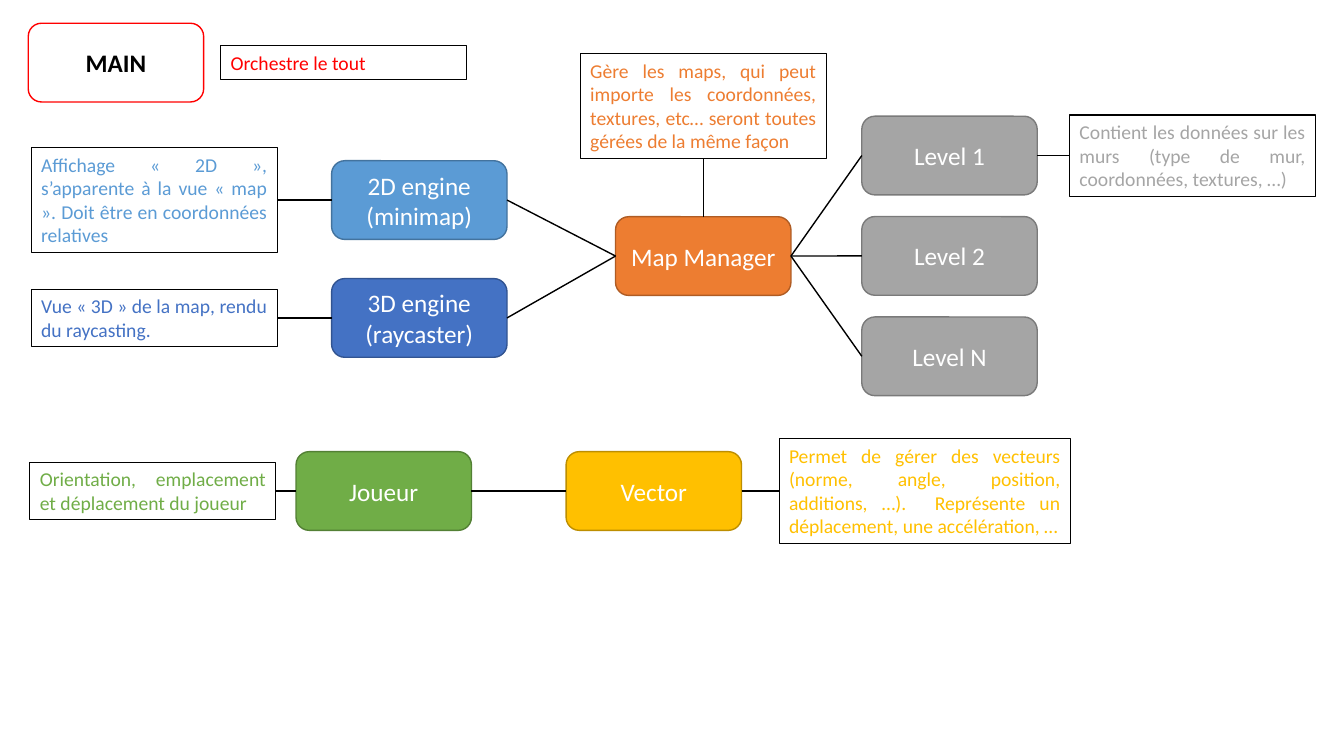
from dataclasses import dataclass

from lxml.etree import SubElement
from pptx import Presentation
from pptx.dml.color import RGBColor
from pptx.enum.shapes import MSO_CONNECTOR, MSO_SHAPE
from pptx.enum.text import MSO_ANCHOR, MSO_AUTO_SIZE, PP_ALIGN
from pptx.oxml.ns import qn
from pptx.util import Pt


@dataclass(frozen=True)
class Theme:
    font: str = "Calibri"
    node_size: float = 18
    note_size: float = 14
    white: str = "FFFFFF"
    black: str = "000000"
    red: str = "FF0000"
    sky: tuple = ("5B9BD5", "43739E")
    blue: tuple = ("4472C4", "325491")
    orange: tuple = ("ED7D31", "AF5C24")
    gray: tuple = ("A5A5A5", "7A7A7A")
    green: tuple = ("70AD47", "538035")
    gold: tuple = ("FFC000", "BD8E00")


@dataclass(frozen=True)
class Box:
    left: float
    top: float
    width: float
    height: float

    @property
    def right(self):
        return self.left + self.width

    @property
    def middle(self):
        return self.top + self.height / 2


THEME = Theme()
NODE_WIDTH, NODE_HEIGHT = 125.3, 56.2
NOTE_WIDTH = 175.7
TOP, LEFT, BOTTOM, RIGHT = range(4)


def write_text(shape, text, size, color, align, anchor=MSO_ANCHOR.TOP, bold=False):
    frame = shape.text_frame
    frame.word_wrap = True
    frame.vertical_anchor = anchor
    paragraph = frame.paragraphs[0]
    paragraph.alignment = align
    run = paragraph.add_run()
    run.text = text
    run.font.name = THEME.font
    run.font.size = Pt(size)
    run.font.bold = bold
    run.font.color.rgb = RGBColor.from_string(color)


def paint(shape, fill, line, width):
    shape.fill.solid()
    shape.fill.fore_color.rgb = RGBColor.from_string(fill)
    shape.line.color.rgb = RGBColor.from_string(line)
    shape.line.width = Pt(width)


def add_node(slide, left, top, text, colors, text_color=THEME.white, bold=False):
    node = slide.shapes.add_shape(
        MSO_SHAPE.ROUNDED_RECTANGLE, Pt(left), Pt(top), Pt(NODE_WIDTH), Pt(NODE_HEIGHT))
    node.shadow.inherit = False
    paint(node, *colors, 1)
    write_text(node, text, THEME.node_size, text_color, PP_ALIGN.CENTER,
               anchor=MSO_ANCHOR.MIDDLE, bold=bold)
    return node


def note_height(lines):
    return 7.2 + 16.9 * lines


def add_note(slide, left, middle, lines, text, color, width=NOTE_WIDTH):
    height = note_height(lines)
    note = slide.shapes.add_textbox(Pt(left), Pt(middle - height / 2), Pt(width), Pt(height))
    paint(note, THEME.white, THEME.black, 0.75)
    write_text(note, text, THEME.note_size, color, PP_ALIGN.JUSTIFY)
    note.text_frame.auto_size = MSO_AUTO_SIZE.SHAPE_TO_FIT_TEXT
    return note


def link(slide, start, start_side, end, end_side):
    connector = slide.shapes.add_connector(MSO_CONNECTOR.STRAIGHT, 0, 0, 0, 0)
    connector.begin_connect(start, start_side)
    connector.end_connect(end, end_side)
    connector.line.color.rgb = RGBColor.from_string(THEME.black)
    connector.line.width = Pt(1)
    SubElement(connector._element.spPr, qn("a:effectLst"))


def draw_main(slide, box):
    add_node(slide, box.left, box.top, "MAIN", (THEME.white, THEME.red), THEME.black, bold=True)
    add_note(slide, box.right - NOTE_WIDTH, box.middle, 1, "Orchestre le tout", THEME.red)


def draw_engines(slide, box):
    engines = [
        ("2D engine (minimap)", THEME.sky, 4,
         "Affichage « 2D », s’apparente à la vue « map ». Doit être en coordonnées relatives"),
        ("3D engine (raycaster)", THEME.blue, 2,
         "Vue « 3D » de la map, rendu du raycasting."),
    ]
    pitch = box.height - NODE_HEIGHT
    nodes = []
    for index, (name, colors, lines, description) in enumerate(engines):
        top = box.top + index * pitch
        node = add_node(slide, box.right - NODE_WIDTH, top, name, colors)
        note = add_note(slide, box.left, top + NODE_HEIGHT / 2, lines, description, colors[0])
        link(slide, note, RIGHT, node, LEFT)
        nodes.append(node)
    return nodes


def draw_map_manager(slide, box):
    node = add_node(slide, box.left + (box.width - NODE_WIDTH) / 2,
                    box.top + box.height - NODE_HEIGHT, "Map Manager", THEME.orange)
    note = add_note(slide, box.left, box.top + note_height(4) / 2, 4,
                    "Gère les maps, qui peut importe les coordonnées, textures, etc… "
                    "seront toutes gérées de la même façon", THEME.orange[0])
    link(slide, node, TOP, note, BOTTOM)
    return node


def draw_levels(slide, box):
    names = ["Level 1", "Level 2", "Level N"]
    pitch = (box.height - NODE_HEIGHT) / (len(names) - 1)
    nodes = [add_node(slide, box.left, box.top + index * pitch, name, THEME.gray)
             for index, name in enumerate(names)]
    note = add_note(slide, box.right - NOTE_WIDTH, box.top + NODE_HEIGHT / 2, 3,
                    "Contient les données sur les murs (type de mur, coordonnées, textures, …)",
                    THEME.gray[0])
    link(slide, nodes[0], RIGHT, note, LEFT)
    return nodes


def draw_player(slide, box):
    vector_note_width = 208.1
    player_note = add_note(slide, box.left, box.middle, 2,
                           "Orientation, emplacement et déplacement du joueur", THEME.green[0])
    player = add_node(slide, box.left + 190.1, box.top, "Joueur", THEME.green)
    vector = add_node(slide, box.left + 383, box.top, "Vector", THEME.gold)
    vector_note = add_note(slide, box.right - vector_note_width, box.middle, 4,
                           "Permet de gérer des vecteurs (norme, angle, position, additions, …).  "
                           "Représente un déplacement, une accélération, …",
                           THEME.gold[0], width=vector_note_width)
    chain = [player_note, player, vector, vector_note]
    for start, end in zip(chain, chain[1:]):
        link(slide, start, RIGHT, end, LEFT)


def main():
    presentation = Presentation()
    presentation.slide_width, presentation.slide_height = Pt(960), Pt(540)
    slide = presentation.slides.add_slide(presentation.slide_layouts[6])
    draw_main(slide, Box(20.2, 16.6, 313.2, NODE_HEIGHT))
    engines = draw_engines(slide, Box(22.3, 114.8, 342.5 - 2.6, 140.4))
    manager = draw_map_manager(slide, Box(414.5, 38.2, NOTE_WIDTH, 172.8))
    levels = draw_levels(slide, Box(615.6, 83, 324.1, 199.6))
    draw_player(slide, Box(21.4, 322.6, 743.2, NODE_HEIGHT))
    for engine in engines:
        link(slide, engine, RIGHT, manager, LEFT)
    for level in levels:
        link(slide, manager, RIGHT, level, LEFT)
    presentation.save("out.pptx")


if __name__ == "__main__":
    main()
